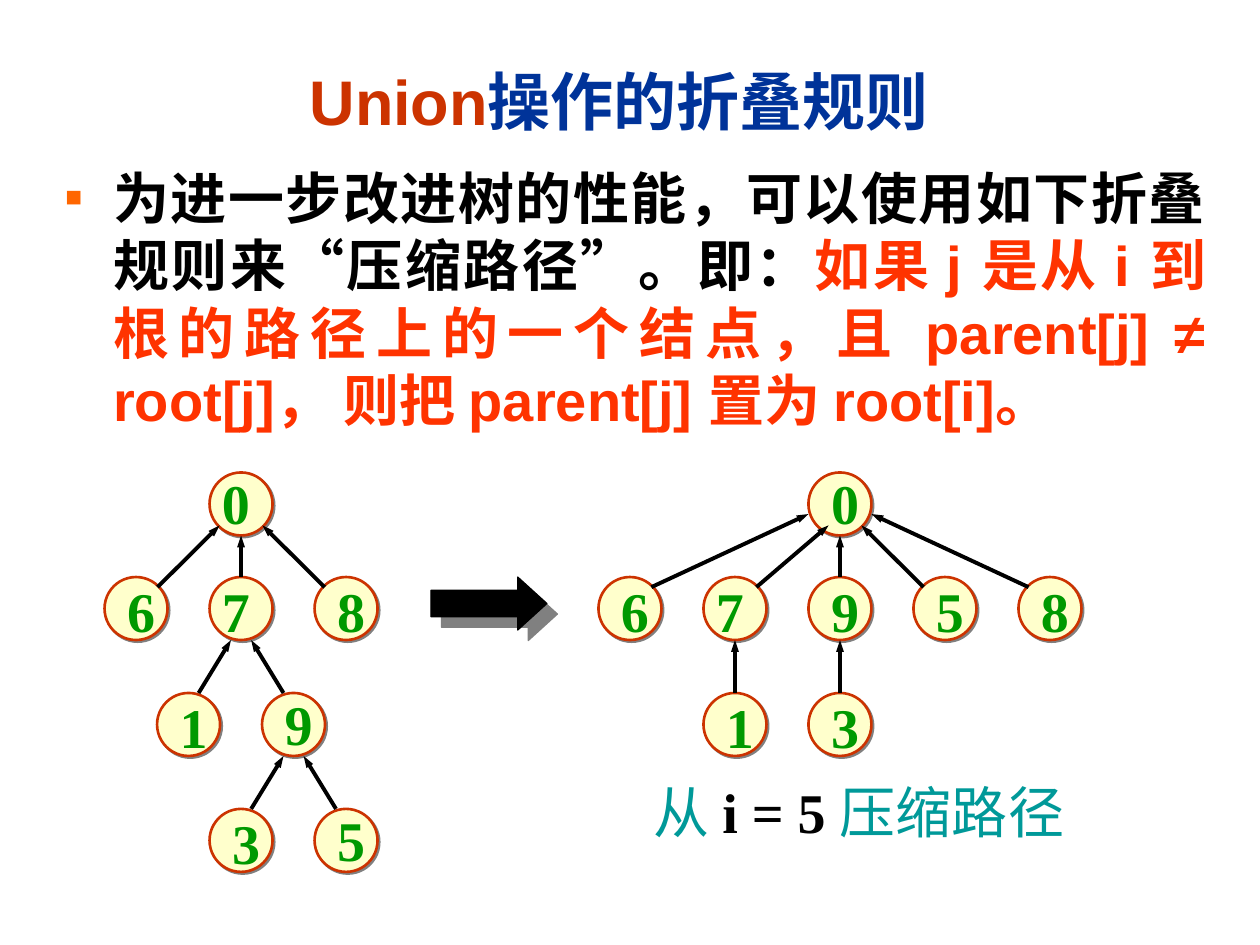
from collections import namedtuple

from lxml import etree
from pptx import Presentation
from pptx import util as u
from pptx.dml.color import RGBColor
from pptx.enum import shapes, text
from pptx.oxml import ns

BLACK = RGBColor(0, 0, 0)
RED = RGBColor(0xCC, 0x33, 0x00)
BLUE = RGBColor(0x00, 0x33, 0x99)
SCARLET = RGBColor(0xFF, 0x33, 0x00)
ORANGE = RGBColor(0xFF, 0x66, 0x00)
CREAM = RGBColor(0xFF, 0xFF, 0xCC)
GREEN = RGBColor(0x00, 0x99, 0x00)
TEAL = RGBColor(0x00, 0x99, 0x99)
GRAY = RGBColor(0x80, 0x80, 0x80)

SANS = {"name": "Arial", "bold": True}
SERIF = {"name": "Times New Roman", "size": u.Pt(32), "bold": True}

NODE_SIZE = 0.5
COLUMN_PITCH = 5 / 6
ROW_TOPS = (0, 0.83, 1.75, 2.67)
EDGE_OFFSETS = {
    0: ((0, -0.25), (0, 0.25)),
    0.5: ((0.08, -0.25), (-0.08, 0.25)),
    1: ((0.17, -0.17), (-0.17, 0.17)),
    2: ((0.17, -0.17), (-0.25, 0.08)),
}

Node = namedtuple("Node", "label column row parent dx dy reach", defaults=(None, 0.08, -0.05, 0))

TREE_BEFORE = (
    Node("0", 1, 0, dx=0, dy=-0.08),
    Node("6", 0, 1, "0"),
    Node("7", 1, 1, "0", dx=0),
    Node("8", 2, 1, "0"),
    Node("1", 0.5, 2, "7"),
    Node("9", 1.5, 2, "7", dy=-0.08),
    Node("3", 1, 3, "9"),
    Node("5", 2, 3, "9", dy=-0.08),
)
TREE_AFTER = (
    Node("0", 2, 0, dy=-0.08),
    Node("6", 0, 1, "0"),
    Node("7", 1, 1, "0", dx=0, reach=0.08),
    Node("9", 2, 1, "0"),
    Node("5", 3, 1, "0"),
    Node("8", 4, 1, "0"),
    Node("1", 1, 2, "7"),
    Node("3", 2, 2, "9"),
)


def inches(*lengths):
    """Convert plain numbers to slide lengths."""
    return [u.Inches(length) for length in lengths]


def add_xml(parent, tag, **attributes):
    """Append a DrawingML element and return it."""
    return etree.SubElement(parent, ns.qn(tag), attributes)


def add_text(slide, box, runs, frame_format, paragraph_format):
    """Add a one-paragraph text box and return the paragraph."""
    frame = slide.shapes.add_textbox(*inches(*box)).text_frame
    for name, value in frame_format.items():
        setattr(frame, name, value)
    paragraph = frame.paragraphs[0]
    for name, value in paragraph_format.items():
        setattr(paragraph, name, value)
    for words, color, font_format in runs:
        run = paragraph.add_run()
        run.text = words
        run.font.color.rgb = color
        for name, value in font_format.items():
            setattr(run.font, name, value)
    return paragraph


def add_label(slide, box, runs):
    """Add unwrapped text that sizes its own box."""
    fit = {"word_wrap": False, "auto_size": text.MSO_AUTO_SIZE.SHAPE_TO_FIT_TEXT}
    add_text(slide, box, runs, fit, {})


def add_shadowed_shape(slide, kind, box, fill, line, width, distance):
    """Add a filled shape with a hard shadow to its lower right."""
    shape = slide.shapes.add_shape(kind, *inches(*box))
    shape.fill.solid()
    shape.fill.fore_color.rgb = fill
    shape.line.color.rgb = line
    shape.line.width = u.Pt(width)
    shape.shadow.inherit = False
    effects = shape._element.spPr.find(ns.qn("a:effectLst"))
    shadow = add_xml(effects, "a:outerShdw", blurRad="0", dist=str(u.Pt(distance)),
                     dir="2700000", algn="ctr", rotWithShape="0")
    add_xml(shadow, "a:srgbClr", val=str(GRAY))
    return shape


def add_title(slide, box):
    """Place the two-colour title."""
    font = {**SANS, "size": u.Pt(36)}
    add_text(slide, box, [("Union", RED, font), ("操作的折叠规则", BLUE, font)],
             {"word_wrap": True, "vertical_anchor": text.MSO_ANCHOR.MIDDLE},
             {"alignment": text.PP_ALIGN.CENTER})


def add_rule(slide, box):
    """Place the bulleted statement of the collapsing rule."""
    font = {**SANS, "size": u.Pt(32)}
    runs = [
        ("为进一步改进树的性能，可以使用如下折叠规则来“压缩路径”。即：", BLACK, font),
        ("如果 j 是从 i 到根的路径上的一个结点，且 parent[j] ≠ root[j]， "
         "则把 parent[j] 置为 root[i]。", SCARLET, font),
    ]
    paragraph = add_text(slide, box, runs, {"word_wrap": True},
                         {"alignment": text.PP_ALIGN.JUSTIFY, "space_before": u.Pt(8)})
    properties = paragraph._p.get_or_add_pPr()
    indent = u.Inches(0.38)
    properties.set("marL", str(indent))
    properties.set("indent", str(-indent))
    add_xml(add_xml(properties, "a:buClr"), "a:srgbClr", val=str(ORANGE))
    add_xml(properties, "a:buSzPct", val="50000")
    add_xml(properties, "a:buFont", typeface="Arial")
    add_xml(properties, "a:buChar", char="■")


def add_edge(slide, child, parent, centers):
    """Draw the arrow from a child node to its parent."""
    gap = parent.column - child.column
    side = -1 if gap < 0 else 1
    (start_x, start_y), (end_x, end_y) = EDGE_OFFSETS[abs(gap)]
    child_x, child_y = centers[child.label]
    parent_x, parent_y = centers[parent.label]
    ends = inches(child_x + side * start_x, child_y + start_y,
                  parent_x + side * end_x + child.reach, parent_y + end_y)
    edge = slide.shapes.add_connector(shapes.MSO_CONNECTOR.STRAIGHT, *ends)
    edge.line.color.rgb = BLACK
    edge.line.width = u.Pt(2.25)
    add_xml(edge.line._get_or_add_ln(), "a:tailEnd", type="triangle", w="sm", len="med")
    add_xml(edge._element.spPr, "a:effectLst")


def add_tree(slide, left, top, nodes):
    """Draw a tree whose first column and row start at the given corner."""
    corners = {node.label: (left + node.column * COLUMN_PITCH, top + ROW_TOPS[node.row])
               for node in nodes}
    centers = {label: (x + NODE_SIZE / 2, y + NODE_SIZE / 2)
               for label, (x, y) in corners.items()}
    by_label = {node.label: node for node in nodes}
    for x, y in corners.values():
        add_shadowed_shape(slide, shapes.MSO_SHAPE.OVAL, (x, y, NODE_SIZE, NODE_SIZE),
                           CREAM, RED, 1.5, 1.4)
    for node in nodes:
        if node.parent:
            add_edge(slide, node, by_label[node.parent], centers)
    for node in nodes:
        x, y = corners[node.label]
        add_label(slide, (x + node.dx, y + node.dy, 0.42, 0.64), [(node.label, GREEN, SERIF)])


def add_step_arrow(slide, box):
    """Place the block arrow between the two trees."""
    arrow = add_shadowed_shape(slide, shapes.MSO_SHAPE.RIGHT_ARROW, box, BLACK, BLACK, 0.75, 8.5)
    arrow.adjustments[0] = 0.5
    arrow.adjustments[1] = 0.55


def add_caption(slide, box):
    """Place the caption under the compressed tree."""
    plain = {**SERIF, "bold": False}
    add_label(slide, box, [("从 ", TEAL, plain), ("i = 5 ", BLACK, SERIF),
                           ("压缩路径", TEAL, plain)])


def main():
    """Build and save the slide."""
    presentation = Presentation()
    presentation.slide_width, presentation.slide_height = inches(10, 7.5)
    slide = presentation.slides.add_slide(presentation.slide_layouts[6])
    add_title(slide, (2.25, 0.42, 5.33, 0.75))
    add_rule(slide, (0.42, 1.25, 9.25, 2.25))
    add_tree(slide, 0.83, 3.75, TREE_BEFORE)
    add_step_arrow(slide, (3.42, 4.58, 0.92, 0.42))
    add_tree(slide, 4.75, 3.75, TREE_AFTER)
    add_caption(slide, (5.09, 6.12, 3.79, 0.64))
    presentation.save("out.pptx")


if __name__ == "__main__":
    main()
